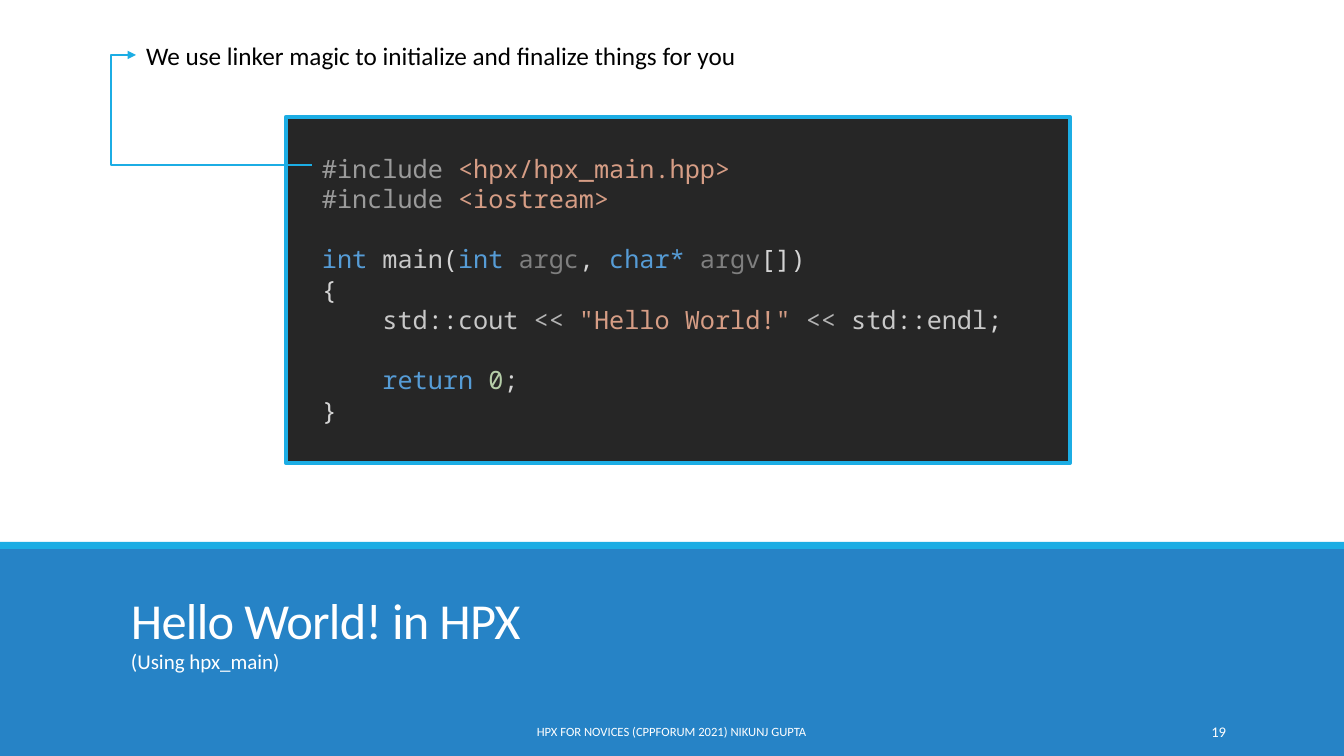
import pptx
import pptx.util
import pptx.dml.color
import pptx.enum.shapes
import pptx.enum.text
from lxml import etree

COLORS = {
    "white": "FFFFFF", "black": "000000", "band": "2683C6", "accent": "1CADE4",
    "editor": "262626", "directive": "9B9B9B", "string": "D69D85",
    "plain": "D4D4D4", "keyword": "569CD6", "name": "C8C8C8",
    "parameter": "7F7F7F", "operator": "B4B4B4", "number": "B5CEA8",
}
SLIDE = (1344, 756)
BARS = [((0, 546, 1344, 210), "band"), ((0, 542, 1344, 7), "accent")]

# text, place, size in points, colour, horizontal, vertical, vertical inset, line spacing
LABELS = [
    ("Hello World! in HPX", (121, 559, 1115, 91), 36, "white", "LEFT", "BOTTOM", 0, 0.85),
    ("(Using hpx_main)", (121, 651, 1115, 66), 15, "white", "LEFT", "TOP", 0, 0.9),
    ("HPX FOR NOVICES (CPPFORUM 2021) NIKUNJ GUPTA", (406, 712, 531, 40), 9,
     "white", "CENTER", "MIDDLE", 5, 1.0),
    ("19", (1092, 712, 144, 40), 10.5, "white", "RIGHT", "MIDDLE", 5, 1.0),
    ("We use linker magic to initialize and finalize things for you",
     (136, 35, 618, 40), 18, "black", "LEFT", "TOP", 5, 1.0),
]

CODE_PLACE = (286, 117, 784, 346)
CODE_INSETS = (36, 36)
CODE = [
    [("#include ", "directive"), ("<hpx/hpx_main.hpp>", "string")],
    [("#include ", "directive"), ("<iostream>", "string")],
    [],
    [("int ", "keyword"), ("main", "name"), ("(", "plain"), ("int ", "keyword"),
     ("argc", "parameter"), (", ", "plain"), ("char* ", "keyword"),
     ("argv", "parameter"), ("[])", "plain")],
    [("{", "plain")],
    [("    ", "plain"), ("std", "name"), ("::", "plain"), ("cout ", "name"),
     ("<< ", "operator"), ('"Hello World!" ', "string"), ("<< ", "operator"),
     ("std", "name"), ("::", "plain"), ("endl", "name"), (";", "plain")],
    [],
    [("    ", "plain"), ("return ", "keyword"), ("0", "number"), (";", "plain")],
    [("}", "plain")],
]
CODE_SIZE, CODE_PITCH = 18, 21.6
HARD_SPACE = chr(160)

ARROW_START, ARROW_END = (312, 165), (136, 55)
ARROW_LEFT = 111


def px(length):
    return round(length * 914400 / 100.8)


def rgb(name):
    return pptx.dml.color.RGBColor.from_string(COLORS[name])


def style_font(font, face, size, color=None):
    font.name = face
    font.size = pptx.util.Pt(size)
    if color:
        font.color.rgb = rgb(color)


def add_rectangle(page, place, fill):
    shape = page.shapes.add_shape(
        pptx.enum.shapes.MSO_SHAPE.RECTANGLE, *map(px, place))
    shape.shadow.inherit = False
    shape.fill.solid()
    shape.fill.fore_color.rgb = rgb(fill)
    shape.line.fill.background()
    return shape


def add_label(page, text, place, size, color, align, anchor, inset, spacing):
    box = page.shapes.add_textbox(*map(px, place))
    frame = box.text_frame
    frame.word_wrap = True
    frame.margin_left = frame.margin_right = px(10)
    frame.margin_top = frame.margin_bottom = px(inset)
    frame.vertical_anchor = getattr(pptx.enum.text.MSO_ANCHOR, anchor)
    para = frame.paragraphs[0]
    para.text = text
    para.alignment = getattr(pptx.enum.text.PP_ALIGN, align)
    para.line_spacing = spacing
    style_font(para.font, "Calibri", size, color)
    return box


def add_code(page):
    box = add_rectangle(page, CODE_PLACE, "editor")
    box.line.color.rgb = rgb("accent")
    box.line.width = pptx.util.Pt(3)
    frame = box.text_frame
    frame.word_wrap = True
    frame.vertical_anchor = pptx.enum.text.MSO_ANCHOR.TOP
    frame.margin_left, frame.margin_top = map(px, CODE_INSETS)
    gap = 0
    para = frame.paragraphs[0]
    for line in CODE:
        if not line:
            gap = CODE_PITCH
            continue
        if para.runs:
            para = frame.add_paragraph()
        para.alignment = pptx.enum.text.PP_ALIGN.LEFT
        para.line_spacing = pptx.util.Pt(CODE_PITCH)
        para.space_before = pptx.util.Pt(gap)
        gap = 0
        style_font(para.font, "Noto Sans Mono", CODE_SIZE)
        for text, color in line:
            span = para.add_run()
            span.text = text.replace(" ", HARD_SPACE)
            span.font.color.rgb = rgb(color)


def add_arrow(page):
    """Draw the elbow that leaves the code to the left and returns to the note."""
    arrow = page.shapes.add_connector(
        pptx.enum.shapes.MSO_CONNECTOR.ELBOW, *map(px, ARROW_START + ARROW_END))
    arrow.line.color.rgb = rgb("accent")
    arrow.line.width = pptx.util.Pt(2)
    namespace = "{http://schemas.openxmlformats.org/drawingml/2006/main}"
    properties = arrow._element.spPr
    etree.SubElement(properties.find(namespace + "ln"), namespace + "tailEnd", type="triangle")
    etree.SubElement(properties, namespace + "effectLst")
    bend = (ARROW_START[0] - ARROW_LEFT) / (ARROW_START[0] - ARROW_END[0])
    guides = properties.find(f"{namespace}prstGeom/{namespace}avLst")
    etree.SubElement(guides, namespace + "gd", name="adj1", fmla=f"val {round(bend * 100000)}")


def main():
    deck = pptx.Presentation()
    deck.slide_width, deck.slide_height = map(px, SLIDE)
    page = deck.slides.add_slide(deck.slide_layouts[6])
    for place, fill in BARS:
        add_rectangle(page, place, fill)
    add_code(page)
    title, *_ = [add_label(page, *label) for label in LABELS]
    title.text_frame.paragraphs[0].runs[0].font._element.set("spc", "-50")
    add_arrow(page)
    deck.save("out.pptx")


if __name__ == "__main__":
    main()
